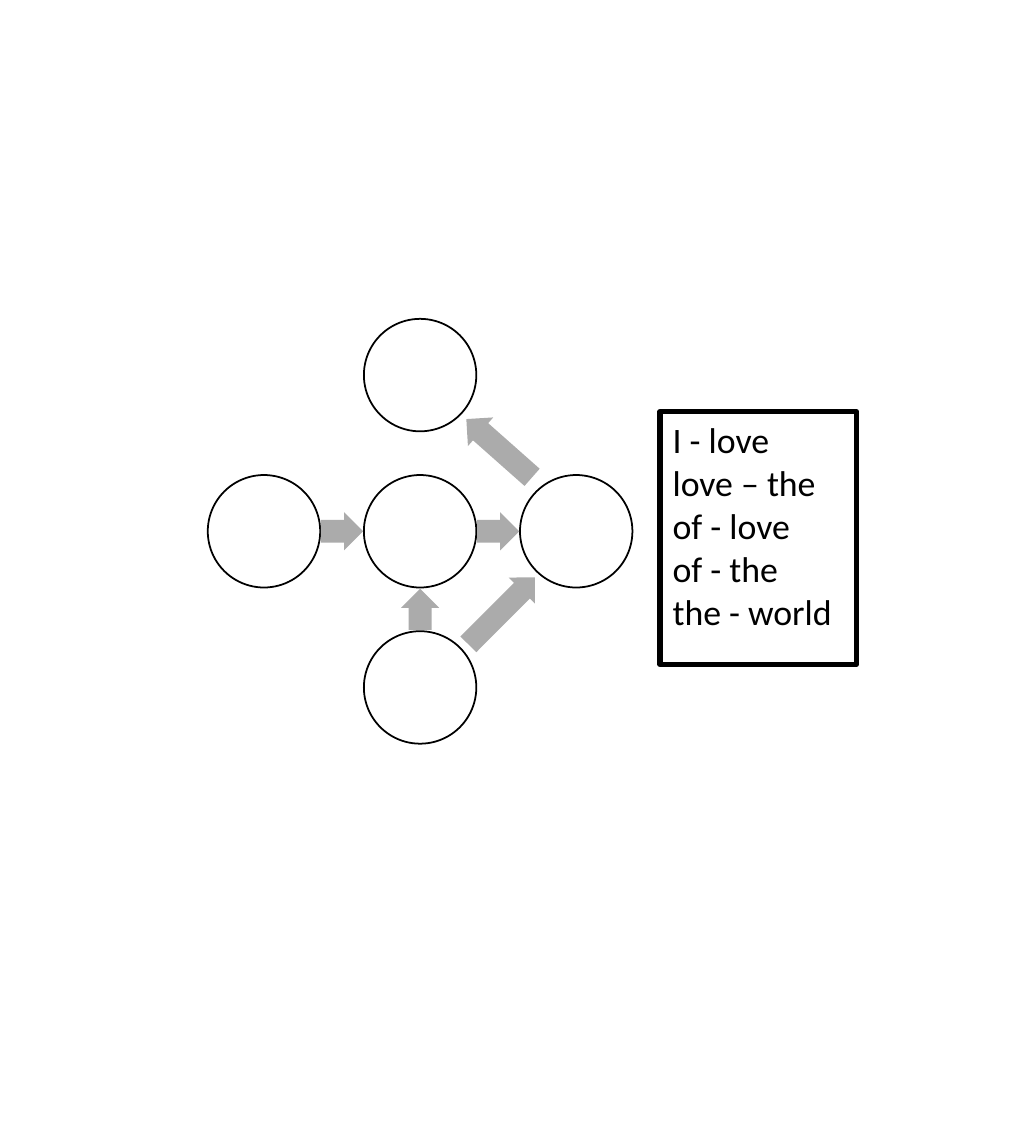
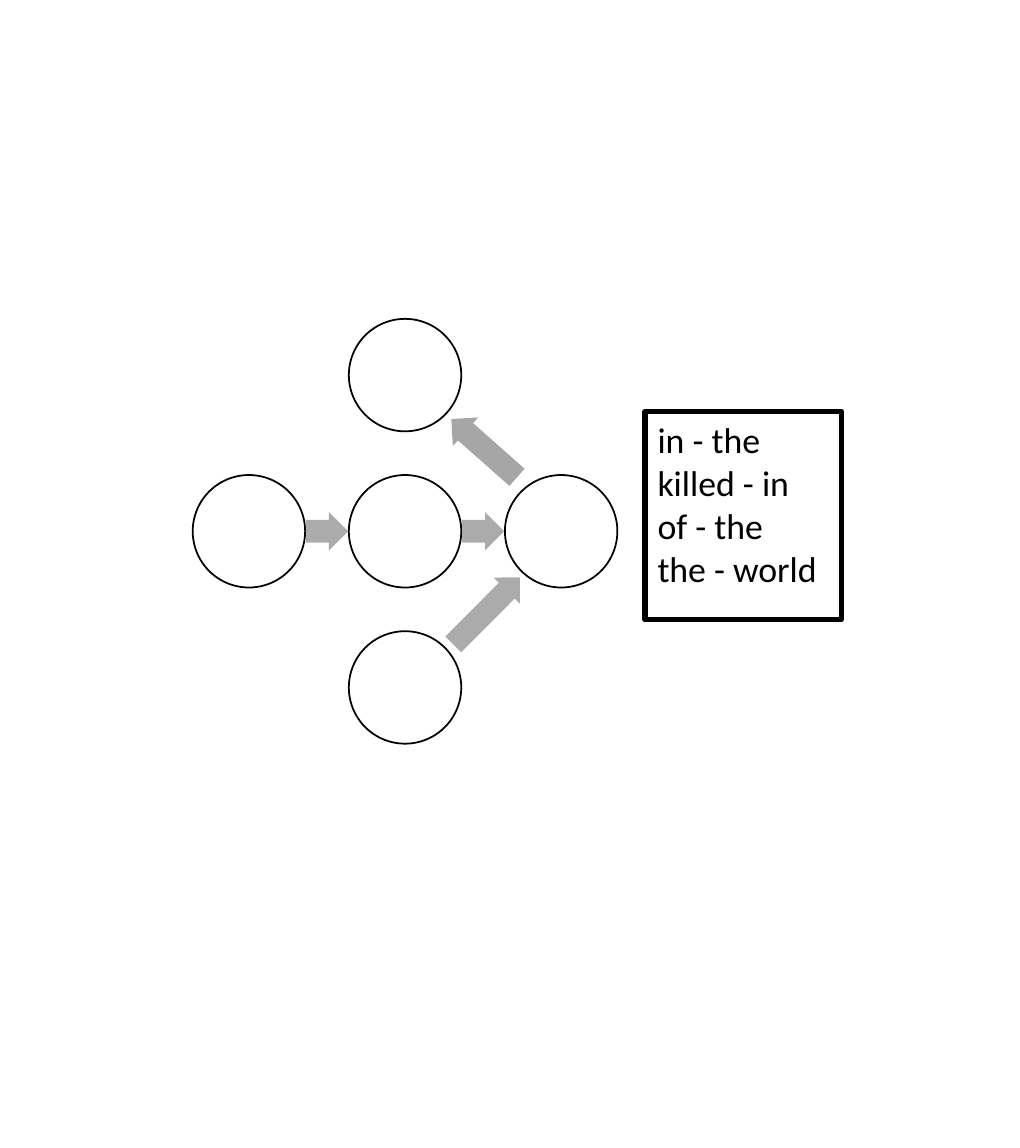
from pptx import Presentation
from pptx.dml.color import RGBColor
from pptx.enum.shapes import MSO_SHAPE
from pptx.enum.text import MSO_ANCHOR, PP_ALIGN
from pptx.util import Cm, Pt

CIRCLE, ARROW, RECT = MSO_SHAPE.OVAL, MSO_SHAPE.RIGHT_ARROW, MSO_SHAPE.RECTANGLE
TOP, LEFT = MSO_ANCHOR.TOP, PP_ALIGN.LEFT

COLORS = {"ink": "000000", "paper": "FFFFFF", "arrow": "ABABAB", "dark_arrow": "A6A6A6"}
FONT = "Calibri"

# Nodes as (column, row) steps from the hub
NODES = {"hub": (0, 0), "top": (0, -1), "right": (1, 0), "bottom": (0, 1), "left": (-1, 0)}

# Arrow per edge: length, thickness, rotation, nudge from the midpoint (cm, degrees)
EDGES = {
    ("right", "top"): (1.75, 0.76, 221.5, (0.02, -0.1)),
    ("hub", "right"): (0.84, 0.76, 0, (0, 0)),
    ("bottom", "hub"): (0.82, 0.76, 270, (0, 0)),
    ("left", "hub"): (0.84, 0.76, 0, (0, 0)),
    ("bottom", "right"): (1.88, 0.74, 314.9, (0.07, 0.03)),
}

SLIDES = [
    {"hub_x": 8.37, "pairs": ["I - love", "love – the", "of - love", "of - the", "the - world"],
     "skip": [], "colors": {}},
    {"hub_x": 8.07, "pairs": ["in - the", "killed - in", "of - the", "the - world"],
     "skip": [("bottom", "hub")], "colors": {("right", "top"): "dark_arrow"}},
]

# Geometry in cm
HUB_Y, PITCH, DIAMETER = 10.58, 3.11, 2.24
BOX_DX, BOX_DY, BOX_W = 4.78, -2.38, 3.91
LINE_H, BOX_PAD = 0.89, 0.58


def rgb(name):
    return RGBColor.from_string(COLORS[name])


def add_shape(s, kind, cx, cy, w, h, fill=None, line_pt=None):
    """Add a preset shape centred on (cx, cy)."""
    sp = s.shapes.add_shape(kind, Cm(cx - w / 2), Cm(cy - h / 2), Cm(w), Cm(h))
    sp.shadow.inherit = False
    if fill:
        sp.fill.solid()
        sp.fill.fore_color.rgb = rgb(fill)
    else:
        sp.fill.background()
    if line_pt:
        sp.line.color.rgb = rgb("ink")
        sp.line.width = Pt(line_pt)
    else:
        sp.line.fill.background()
    return sp


def add_graph(s, hub_x, skip, colors):
    centers = {n: (hub_x + col * PITCH, HUB_Y + row * PITCH) for n, (col, row) in NODES.items()}
    for cx, cy in centers.values():
        add_shape(s, CIRCLE, cx, cy, DIAMETER, DIAMETER, "paper", 1)
    for edge, (length, thickness, angle, nudge) in EDGES.items():
        if edge in skip:
            continue
        start, end = (centers[n] for n in edge)
        cx, cy = ((a + b) / 2 + d for a, b, d in zip(start, end, nudge))
        sp = add_shape(s, ARROW, cx, cy, length, thickness, colors.get(edge, "arrow"))
        sp.rotation = angle
        sp.adjustments[0], sp.adjustments[1] = 0.6, 0.5


def add_pair_box(s, hub_x, pairs):
    h = len(pairs) * LINE_H + BOX_PAD
    sp = add_shape(s, RECT, hub_x + BOX_DX + BOX_W / 2, HUB_Y + BOX_DY + h / 2, BOX_W, h, line_pt=3)
    tf = sp.text_frame
    tf.word_wrap = True
    tf.vertical_anchor = TOP
    for i, pair in enumerate(pairs):
        p = tf.add_paragraph() if i else tf.paragraphs[0]
        p.alignment = LEFT
        r = p.add_run()
        r.text = pair
        r.font.name, r.font.size = FONT, Pt(20.2)
        r.font.color.rgb = rgb("ink")


def main():
    prs = Presentation()
    prs.slide_width, prs.slide_height = Cm(20.32), Cm(22.86)
    for content in SLIDES:
        s = prs.slides.add_slide(prs.slide_layouts[6])
        add_graph(s, content["hub_x"], content["skip"], content["colors"])
        add_pair_box(s, content["hub_x"], content["pairs"])
    prs.save("out.pptx")


if __name__ == "__main__":
    main()
